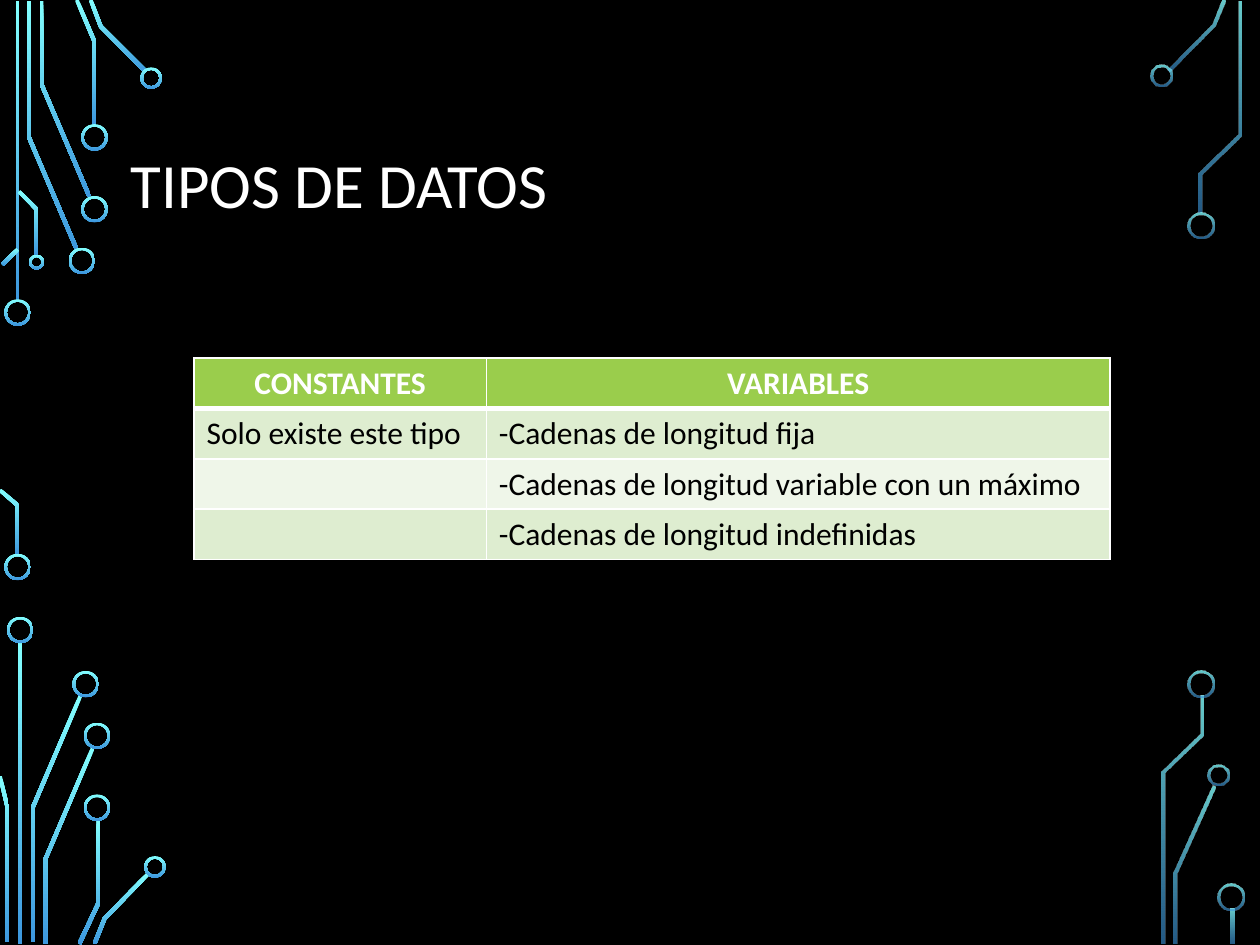
import math
from dataclasses import dataclass

import pptx
import pptx.dml.color
import pptx.enum.shapes
import pptx.enum.text
import pptx.oxml
import pptx.oxml.ns
import pptx.util
from pptx.util import Inches


def rgb(code):
    return pptx.dml.color.RGBColor.from_string(code)


@dataclass(frozen=True)
class Theme:
    font: str = "Calibri"
    background: str = "000000"
    light: str = "FFFFFF"
    dark: str = "000000"
    header: str = "9ACD4C"
    bands: tuple = ("DEEDD0", "EFF6E9")
    glow: tuple = ("82FFFF", "3D97DE")
    solid: tuple = (100, 100)
    faded: tuple = (80, 60)
    title_size: int = 36
    table_size: int = 18
    trace_width: float = 0.03
    ring_width: float = 0.02


THEME = Theme()

# Circuit traces as centre lines, and rings as (centre x, centre y, diameter)
LEFT_TRACES = [
    [(0.14, 0.01), (0.14, 2.4)],
    [(0.23, 0.01), (0.23, 1.09), (0.61, 1.98)],
    [(0.33, 0.01), (0.33, 0.67), (0.71, 1.56)],
    [(0.61, 0), (0.75, 0.33), (0.75, 1)],
    [(0.72, 0), (0.8, 0.21), (1.16, 0.57)],
    [(0.02, 2.1), (0.14, 1.98)],
    [(0, 3.89), (0.14, 4.01), (0.14, 4.41)],
    [(0.15, 1.52), (0.29, 1.66), (0.29, 2.03)],
    [(0.16, 5.1), (0.16, 7.49)],
    [(0.26, 7.48), (0.26, 6.41), (0.64, 5.52)],
    [(0.06, 7.48), (0.06, 6.41), (0, 6.16)],
    [(0.36, 7.49), (0.36, 6.82), (0.74, 5.93)],
    [(0.63, 7.49), (0.78, 7.17), (0.78, 6.5)],
    [(0.75, 7.49), (0.83, 7.29), (1.18, 6.93)],
]
LEFT_RINGS = [
    (0.14, 2.48, 0.21), (0.14, 4.5, 0.21), (0.65, 2.07, 0.21),
    (0.75, 1.66, 0.21), (0.75, 1.09, 0.21), (1.2, 0.62, 0.17),
    (0.29, 2.08, 0.12), (0.16, 5, 0.21), (0.68, 5.43, 0.21),
    (0.77, 5.84, 0.21), (0.77, 6.41, 0.21), (1.23, 6.88, 0.17),
]
RIGHT_TRACES = [
    [(9.28, 0.56), (9.63, 0.2), (9.71, 0)],
    [(9.33, 7.49), (9.33, 6.93), (9.63, 6.24)],
    [(9.53, 1.69), (9.53, 1.38), (9.84, 1.07), (9.84, 0.01)],
    [(9.23, 7.49), (9.23, 6.13), (9.54, 5.83), (9.54, 5.52)],
    [(9.78, 7.21), (9.78, 7.49)],
]
RIGHT_RINGS = [
    (9.22, 0.6, 0.17), (9.53, 1.79, 0.21), (9.67, 6.15, 0.17),
    (9.53, 5.43, 0.21), (9.77, 7.12, 0.21),
]

DATA_TYPES = [
    ("CONSTANTES", "VARIABLES"),
    ("Solo existe este tipo", "-Cadenas de longitud fija"),
    ("", "-Cadenas de longitud variable con un máximo"),
    ("", "-Cadenas de longitud indefinidas"),
]


def style_circuit(part, opacities):
    """Vertical glow gradient, with no outline or shadow."""
    part.shadow.inherit = False
    part.line.fill.background()
    part.fill.gradient()
    part.fill.gradient_angle = 270
    for stop, colour in zip(part.fill.gradient_stops, THEME.glow):
        stop.color.rgb = rgb(colour)
    for colour, opacity in zip(part.element.spPr.xpath(".//a:srgbClr"), opacities):
        if opacity < 100:
            alpha = pptx.oxml.parse_xml(
                f'<a:alpha {pptx.oxml.ns.nsdecls("a")} val="{opacity * 1000}"/>')
            colour.append(alpha)


def band_side(points, offset):
    """Points of a polyline moved sideways, with mitred corners."""
    normals = []
    for (x1, y1), (x2, y2) in zip(points, points[1:]):
        length = math.hypot(x2 - x1, y2 - y1)
        normals.append(((y1 - y2) / length, (x2 - x1) / length))
    before, after = normals[:1] + normals, normals + normals[-1:]
    side = []
    for (x, y), (ax, ay), (bx, by) in zip(points, before, after):
        reach = offset / (1 + ax * bx + ay * by)
        side.append((Inches(x + (ax + bx) * reach), Inches(y + (ay + by) * reach)))
    return side


def add_trace(slide, points, opacities):
    half = THEME.trace_width / 2
    (x, top), (end_x, bottom) = points[0], points[-1]
    if len(points) == 2 and x == end_x:
        trace = slide.shapes.add_shape(
            pptx.enum.shapes.MSO_SHAPE.RECTANGLE, Inches(x - half), Inches(top),
            Inches(THEME.trace_width), Inches(bottom - top))
    else:
        outline = band_side(points, half) + band_side(points, -half)[::-1]
        builder = slide.shapes.build_freeform(*outline[0])
        builder.add_line_segments(outline[1:], close=True)
        trace = builder.convert_to_shape()
    style_circuit(trace, opacities)


def add_ring(slide, x, y, diameter, opacities):
    ring = slide.shapes.add_shape(
        pptx.enum.shapes.MSO_SHAPE.DONUT, Inches(x - diameter / 2),
        Inches(y - diameter / 2), Inches(diameter), Inches(diameter))
    ring.adjustments[0] = THEME.ring_width / diameter
    style_circuit(ring, opacities)


def add_circuit(slide, traces, rings, opacities):
    for points in traces:
        add_trace(slide, points, opacities)
    for x, y, diameter in rings:
        add_ring(slide, x, y, diameter, opacities)


def style_text(paragraph, size, colour, bold=False):
    for run in paragraph.runs:
        run.font.name = THEME.font
        run.font.size = pptx.util.Pt(size)
        run.font.bold = bold
        run.font.color.rgb = rgb(colour)


def add_title(slide, wording):
    title = slide.shapes.add_textbox(
        Inches(0.94), Inches(0.68), Inches(8.12), Inches(1.62)).text_frame
    title.word_wrap = True
    title.vertical_anchor = pptx.enum.text.MSO_ANCHOR.MIDDLE
    title.text = wording
    title.paragraphs[0].line_spacing = 0.9
    style_text(title.paragraphs[0], THEME.title_size, THEME.light)


def set_borders(cell, **widths):
    properties = cell._tc.get_or_add_tcPr()
    for side in "LRTB":
        width = pptx.util.Pt(widths.get(side, 1))
        properties.append(pptx.oxml.parse_xml(
            f'<a:ln{side} {pptx.oxml.ns.nsdecls("a")} w="{width}"><a:solidFill>'
            f'<a:srgbClr val="{THEME.light}"/></a:solidFill></a:ln{side}>'))


def add_data_types(slide, rows):
    table = slide.shapes.add_table(
        len(rows), 2, Inches(1.54), Inches(2.84), Inches(7.27), Inches(1.6)).table
    table.columns[0].width, table.columns[1].width = Inches(2.32), Inches(4.95)
    for row_number, row in enumerate(rows):
        heading = row_number == 0
        for column, wording in enumerate(row):
            cell = table.cell(row_number, column)
            set_borders(cell, B=3 if heading else 1, T=3 if row_number == 1 else 1)
            cell.fill.solid()
            cell.fill.fore_color.rgb = rgb(
                THEME.header if heading else THEME.bands[(row_number - 1) % 2])
            cell.text_frame.text = wording
            paragraph = cell.text_frame.paragraphs[0]
            if heading:
                paragraph.alignment = pptx.enum.text.PP_ALIGN.CENTER
            style_text(paragraph, THEME.table_size,
                       THEME.light if heading else THEME.dark, heading)


def main():
    deck = pptx.Presentation()
    deck.slide_width, deck.slide_height = Inches(10), Inches(7.5)
    slide = deck.slides.add_slide(deck.slide_layouts[6])
    slide.background.fill.solid()
    slide.background.fill.fore_color.rgb = rgb(THEME.background)

    # Circuit decoration on both edges
    add_circuit(slide, LEFT_TRACES, LEFT_RINGS, THEME.solid)
    add_circuit(slide, RIGHT_TRACES, RIGHT_RINGS, THEME.faded)

    # Content
    add_title(slide, "TIPOS DE DATOS")
    add_data_types(slide, DATA_TYPES)
    deck.save("out.pptx")


if __name__ == "__main__":
    main()
